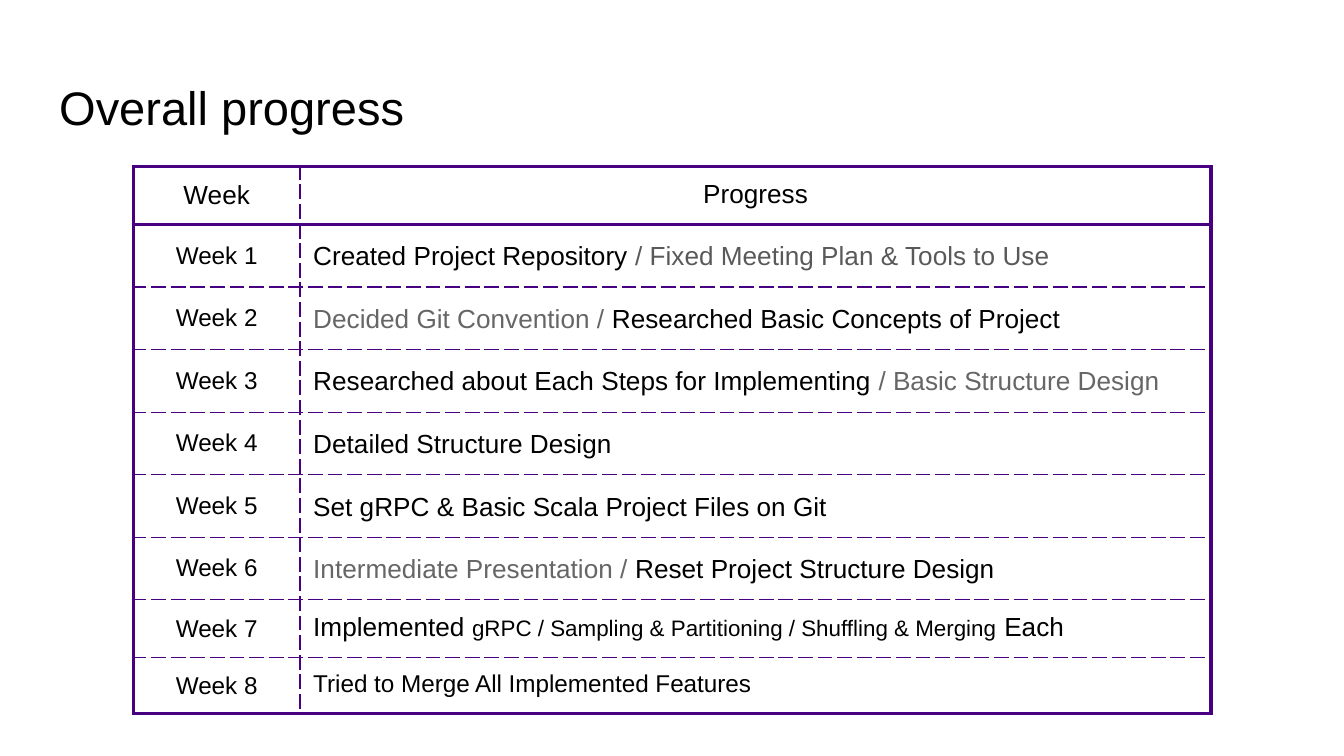
from lxml import etree
from pptx import Presentation
from pptx import util as u
from pptx.dml.color import RGBColor
from pptx.enum import text
from pptx.oxml import ns

BLACK, GRAY, DARK_GRAY, PURPLE = "000000", "666666", "595959", "480082"
MARGIN = u.Cm(0.25)


def color(value):
    return RGBColor.from_string(value)


def add_border(cell, side, width, dash):
    line = etree.SubElement(cell._tc.get_or_add_tcPr(), ns.qn(f"a:ln{side}"), w=str(u.Pt(width)))
    fill = etree.SubElement(line, ns.qn("a:solidFill"))
    etree.SubElement(fill, ns.qn("a:srgbClr"), val=PURPLE)
    etree.SubElement(line, ns.qn("a:prstDash"), val=dash)


progress = [
    [("Created Project Repository", 14, BLACK),
     (" / Fixed Meeting Plan & Tools to Use", 14, DARK_GRAY)],
    [("Decided Git Convention / ", 14, GRAY),
     ("Researched Basic Concepts of Project", 14, BLACK)],
    [("Researched about Each Steps for Implementing ", 14, BLACK),
     ("/ Basic Structure Design", 14, GRAY)],
    [("Detailed Structure Design", 14, BLACK)],
    [("Set gRPC & Basic Scala Project Files on Git", 14, BLACK)],
    [("Intermediate Presentation /", 14, GRAY),
     (" Reset Project Structure Design", 14, BLACK)],
    [("Implemented ", 14, BLACK),
     ("gRPC / Sampling & Partitioning / Shuffling & Merging", 12, BLACK),
     (" Each", 14, BLACK)],
    [("Tried to Merge All Implemented Features", 13, BLACK)],
]
rows = [([("Week", 14, BLACK)], [("Progress", 14, BLACK)])]
for number, spans in enumerate(progress, 1):
    rows.append(([(f"Week {number}", 13, BLACK)], spans))
last_row = len(rows) - 1

deck = Presentation()
deck.slide_width, deck.slide_height = u.Cm(25.4), u.Cm(14.29)
page = deck.slides.add_slide(deck.slide_layouts[6])

title = page.shapes.add_textbox(u.Cm(0.87), u.Cm(1.24), u.Cm(23.67), u.Cm(1.6))
frame = title.text_frame
frame.word_wrap = True
frame.margin_left = frame.margin_right = frame.margin_top = frame.margin_bottom = MARGIN
para = frame.paragraphs[0]
para.text = "Overall progress"
para.font.name, para.font.size = "Arial", u.Pt(25.2)
para.font.color.rgb = color(BLACK)

widths = [u.Cm(3.15), u.Cm(17.22)]
row_height = u.Cm(1.06)
table = page.shapes.add_table(
    len(rows), 2, u.Cm(2.52), u.Cm(3.15), sum(widths), row_height * len(rows)).table
table.first_row = table.horz_banding = False
for column, width in zip(table.columns, widths):
    column.width = width

for r, row in enumerate(rows):
    table.rows[r].height = row_height
    for c, spans in enumerate(row):
        cell = table.cell(r, c)
        cell.margin_left = cell.margin_right = cell.margin_top = cell.margin_bottom = MARGIN
        cell.vertical_anchor = text.MSO_ANCHOR.TOP if c else text.MSO_ANCHOR.MIDDLE
        solid = {"L": c == 0, "R": c == 1, "T": r in (0, 1), "B": r in (0, last_row)}
        for side, thick in solid.items():
            add_border(cell, side, 2.25 if thick else 0.75, "solid" if thick else "dash")
        cell.fill.background()

        para = cell.text_frame.paragraphs[0]
        para.font.name = "Arial"
        centered = c == 0 or r == 0
        para.alignment = text.PP_ALIGN.CENTER if centered else text.PP_ALIGN.LEFT
        if c == 1 and 1 <= r <= 6:
            para.line_spacing = 1.15
        for words, size, shade in spans:
            span = para.add_run()
            span.text = words
            span.font.name = "Arial"
            span.font.size = u.Pt(size)
            span.font.color.rgb = color(shade)

deck.save("out.pptx")
